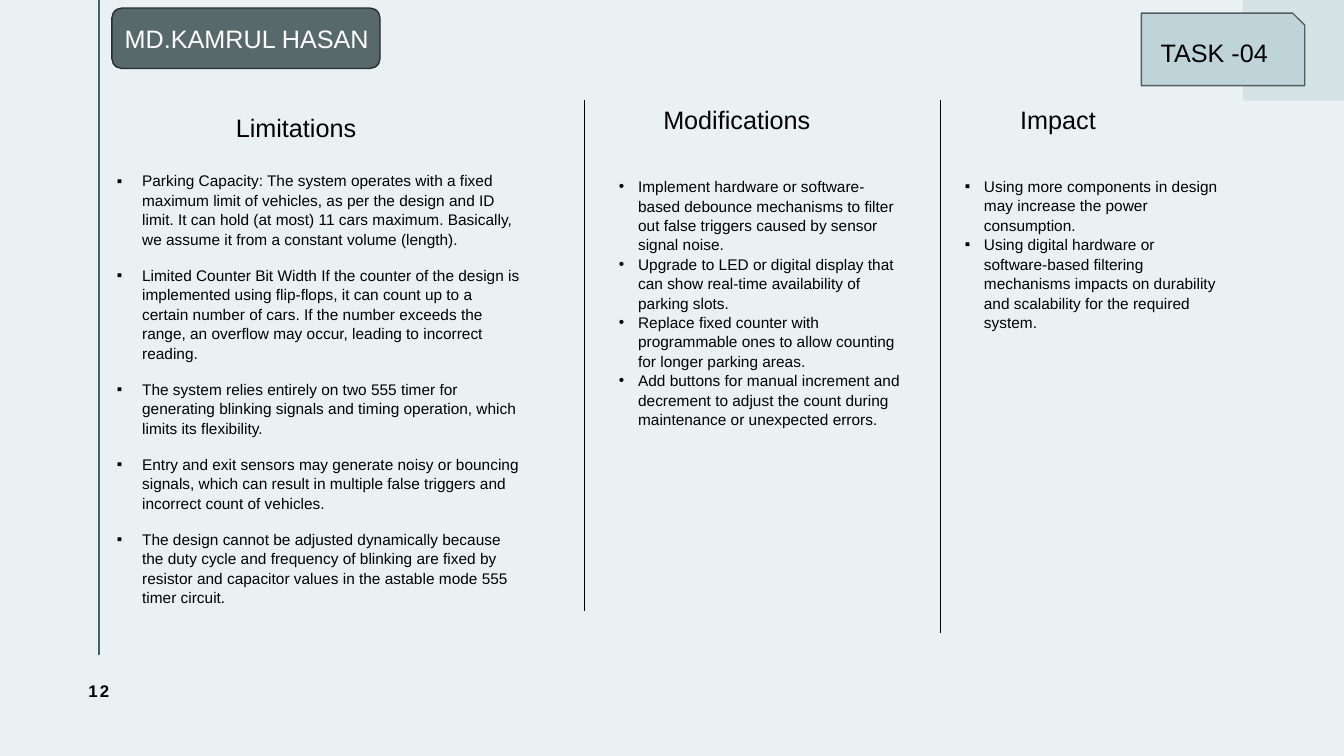
from dataclasses import dataclass

from lxml import etree
from pptx import Presentation
from pptx import util as u
from pptx.dml.color import RGBColor
from pptx.enum import shapes, text
from pptx.oxml.ns import qn


@dataclass(frozen=True)
class Theme:
    font: str = "Arial"
    heading: int = 18
    body: int = 11
    number: int = 12
    ink: str = "000000"
    white: str = "FFFFFF"
    back: str = "EAF1F2"
    corner: str = "D5E3E5"
    rail: str = "40636A"
    name_fill: str = "58696B"
    name_line: str = "272E2F"
    task_fill: str = "BFD4D9"
    task_line: str = "545D5F"


T = Theme()
WIDTH, HEIGHT = 13.33, 7.5
COLUMN_TOP = 0.99
LIST_TOP = 1.7

LIMITATIONS = [
    "Parking Capacity: The system operates with a fixed maximum limit of vehicles, as per the design "
    "and ID limit. It can hold (at most) 11 cars maximum. Basically, we assume it from a constant "
    "volume (length).",
    "Limited Counter Bit Width If the counter of the design is implemented using flip-flops, it can "
    "count up to a certain number of cars. If the number exceeds the range, an overflow may occur, "
    "leading to incorrect reading.",
    "The system relies entirely on two 555 timer for generating blinking signals and timing "
    "operation, which limits its flexibility.",
    "Entry and exit sensors may generate noisy or bouncing signals, which can result in multiple "
    "false triggers and incorrect count of vehicles.",
    "The design cannot be adjusted dynamically because the duty cycle and frequency of blinking are "
    "fixed by resistor and capacitor values in the astable mode 555 timer circuit.",
]
MODIFICATIONS = [
    "Implement hardware or software-based debounce mechanisms to filter out false triggers caused "
    "by sensor signal noise.",
    "Upgrade to LED or digital display that can show real-time availability of parking slots.",
    "Replace fixed counter with programmable ones to allow counting for longer parking areas.",
    "Add buttons for manual increment and decrement to adjust the count during maintenance or "
    "unexpected errors.",
]
IMPACT = [
    "Using more components in design may increase the power consumption.",
    "Using digital hardware or software-based filtering mechanisms impacts on durability and "
    "scalability for the required system.",
]


def rgb(value):
    return RGBColor.from_string(value)


def inches(box):
    return [u.Inches(v) for v in box]


def add_bullet(p, char, indent):
    pPr = p._p.get_or_add_pPr()
    pPr.set("marL", str(u.Inches(indent)))
    pPr.set("indent", str(-u.Inches(indent)))
    etree.SubElement(pPr, qn("a:buFont"), typeface=T.font)
    etree.SubElement(pPr, qn("a:buChar"), char=char)


def write(sp, lines, size=T.heading, color=T.ink, bold=False, align=None, anchor="TOP",
          insets=(0.1, 0.05, 0.1, 0.05), wrap=True, bullet=None, indent=0.19,
          after=0, leading=None, tracking=None):
    """Fill a shape with one paragraph per line; insets are left, top, right, bottom."""
    tf = sp.text_frame
    tf.word_wrap = wrap
    tf.vertical_anchor = text.MSO_ANCHOR[anchor]
    tf.margin_left, tf.margin_top, tf.margin_right, tf.margin_bottom = inches(insets)
    for i, line in enumerate(lines):
        p = tf.add_paragraph() if i else tf.paragraphs[0]
        if bullet:
            add_bullet(p, bullet, indent)
        p.alignment = align or text.PP_ALIGN.LEFT
        p.space_after = u.Pt(after)
        if leading:
            p.line_spacing = leading
        r = p.add_run()
        r.text = line
        r.font.name, r.font.size, r.font.bold = T.font, u.Pt(size), bold
        r.font.color.rgb = rgb(color)
        if tracking:
            r.font._element.set("spc", str(int(tracking * 100)))


def add_text(slide, box, lines, **fmt):
    write(slide.shapes.add_textbox(*inches(box)), lines, **fmt)


def add_panel(slide, kind, box, fill, line=None):
    sp = slide.shapes.add_shape(shapes.MSO_SHAPE[kind], *inches(box))
    sp.shadow.inherit = False
    sp.fill.solid()
    sp.fill.fore_color.rgb = rgb(fill)
    if line:
        sp.line.color.rgb = rgb(line)
        sp.line.width = u.Pt(1)
    else:
        sp.line.fill.background()
    return sp


def add_rule(slide, x, top, bottom, color=T.ink, width=0.5):
    ln = slide.shapes.add_connector(shapes.MSO_CONNECTOR.STRAIGHT, *inches((x, top, x, bottom)))
    ln.line.color.rgb = rgb(color)
    ln.line.width = u.Pt(width)
    etree.SubElement(ln._element.spPr, qn("a:effectLst"))


def add_backdrop(slide):
    slide.background.fill.solid()
    slide.background.fill.fore_color.rgb = rgb(T.back)
    add_rule(slide, 0.98, 0, HEIGHT - 1, T.rail, 1.5)
    add_panel(slide, "RECTANGLE", (WIDTH - 1, 0, 1, 1), T.corner)


def add_column(slide, heading, heading_box, items, list_box, **fmt):
    add_text(slide, heading_box, [heading])
    add_text(slide, list_box, items, size=T.body, leading=1.05, **fmt)


def add_tags(slide):
    name = add_panel(slide, "ROUNDED_RECTANGLE", (1.11, 0.08, 2.66, 0.6), T.name_fill, T.name_line)
    write(name, ["MD.KAMRUL HASAN"], color=T.white, anchor="MIDDLE", wrap=False)
    task = add_panel(slide, "SNIP_1_RECTANGLE", (11.32, 0.13, 1.62, 0.72), T.task_fill, T.task_line)
    write(task, ["TASK -04"], anchor="MIDDLE", wrap=False, insets=(0.19, 0.05, 0.1, 0.05))


def add_page_number(slide, number):
    add_text(slide, (0.45, 6.5, 1.06, 0.71), [str(number)], size=T.number, bold=True,
             align=text.PP_ALIGN.CENTER, anchor="MIDDLE", tracking=1.5)


def main():
    prs = Presentation()
    prs.slide_width, prs.slide_height = inches((WIDTH, HEIGHT))
    slide = prs.slides.add_slide(prs.slide_layouts[6])
    add_backdrop(slide)
    add_column(slide, "Limitations", (2.24, 1.07, 2.32, 0.4),
               LIMITATIONS, (1.16, COLUMN_TOP, 4.02, 5.91),
               bullet="▪", indent=0.25, after=12, anchor="MIDDLE", insets=(0, 0, 0, 0.18))
    add_rule(slide, 5.8, COLUMN_TOP, 6.06)
    add_column(slide, "Modifications", (6.48, COLUMN_TOP, 1.89, 0.71),
               MODIFICATIONS, (6.04, LIST_TOP, 2.99, 2.69), bullet="•")
    add_rule(slide, 9.33, COLUMN_TOP, 6.28)
    add_column(slide, "Impact", (10.02, COLUMN_TOP, 1.95, 0.71),
               IMPACT, (9.47, LIST_TOP, 2.72, 1.77), bullet="▪")
    add_tags(slide)
    add_page_number(slide, 12)
    prs.save("out.pptx")


if __name__ == "__main__":
    main()
